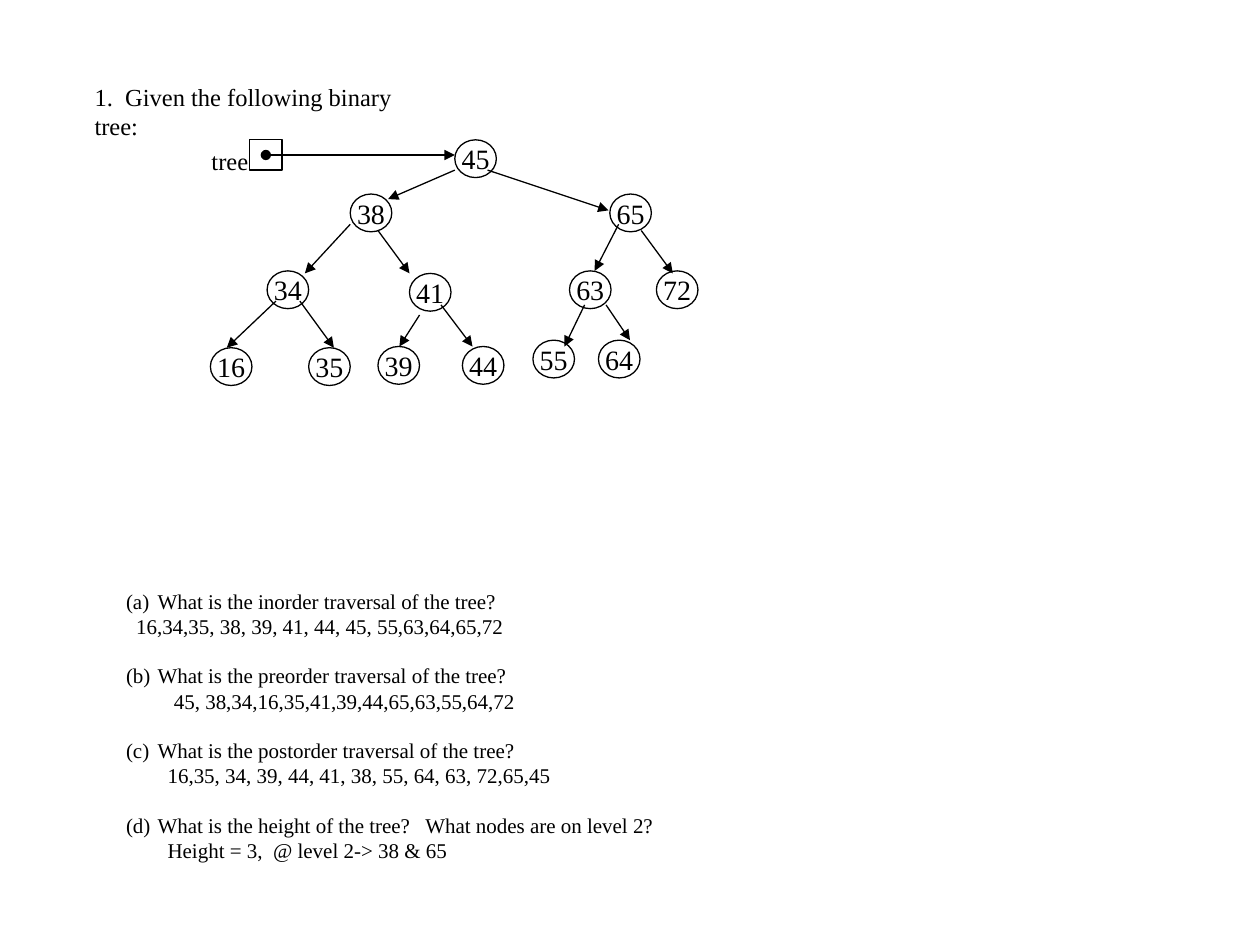
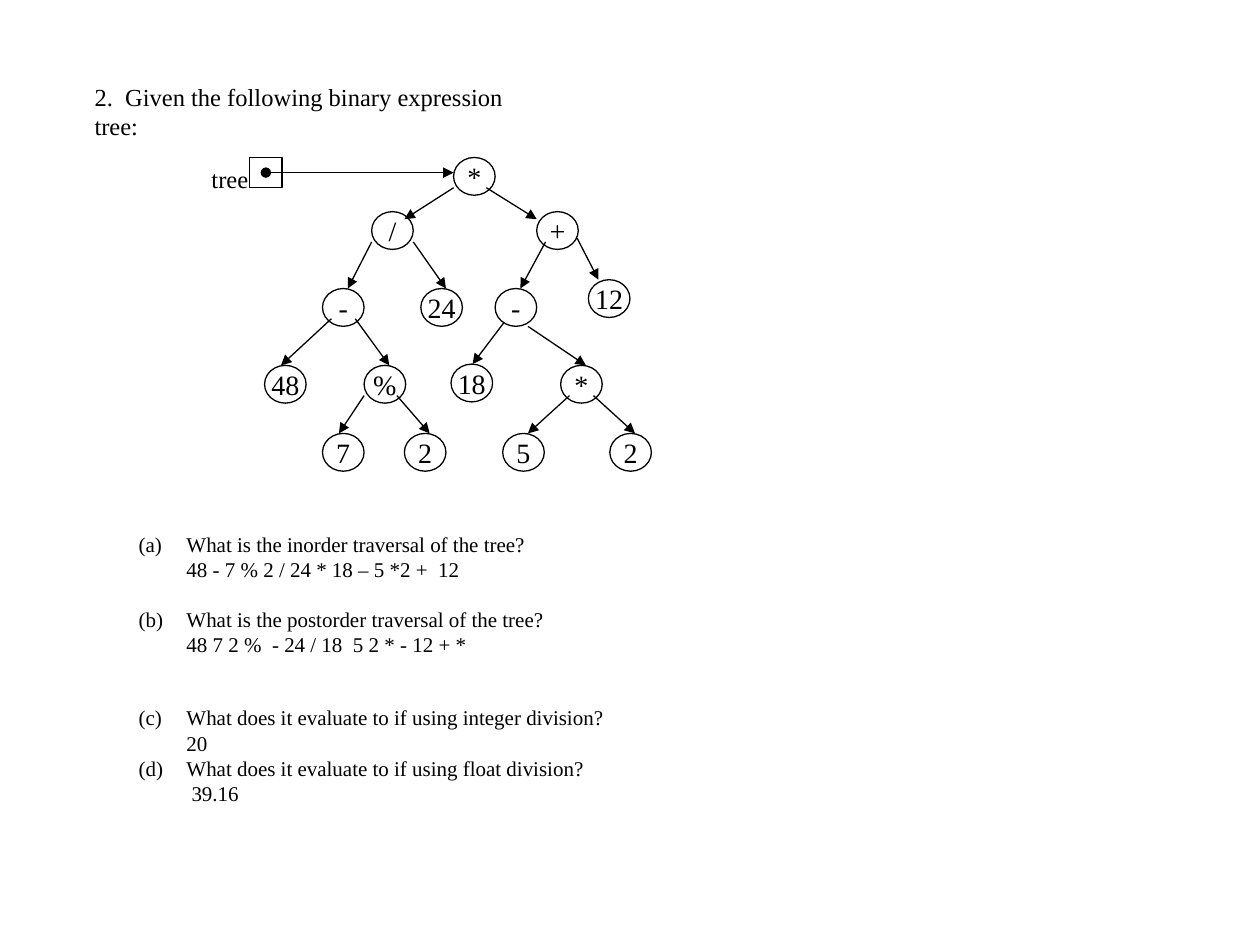
from dataclasses import dataclass

from lxml import etree
from pptx import Presentation
from pptx.dml.color import RGBColor
from pptx.enum.shapes import MSO_CONNECTOR, MSO_SHAPE
from pptx.enum.text import MSO_ANCHOR, MSO_AUTO_SIZE, PP_ALIGN
from pptx.oxml.ns import qn
from pptx.util import Inches, Pt

STRAIGHT = MSO_CONNECTOR.STRAIGHT
OVAL, RECTANGLE = MSO_SHAPE.OVAL, MSO_SHAPE.RECTANGLE
TOP, MIDDLE = MSO_ANCHOR.TOP, MSO_ANCHOR.MIDDLE
LEFT, CENTER = PP_ALIGN.LEFT, PP_ALIGN.CENTER
FIXED_SIZE = MSO_AUTO_SIZE.NONE


@dataclass(frozen=True)
class Theme:
    """Colours, type sizes and measures shared by the slides."""
    ink: RGBColor = RGBColor(0, 0, 0)
    font: str = "Times New Roman"
    title_size: float = 14
    node_size: float = 16
    body_size: float = 12
    body_line: float = 13.8
    line_width: float = 0.75
    node_width: float = 0.33
    node_height: float = 0.3


@dataclass(frozen=True)
class Node:
    """A tree node; start is measured from its parent, tip from itself."""
    label: str
    x: float
    y: float
    start: tuple = ()
    tip: tuple = ()
    children: tuple = ()


@dataclass(frozen=True)
class Question:
    """A numbered question, its answer's indent, and blank lines above."""
    text: str
    answer: str
    answer_indent: float
    lines_above: int = 1


THEME = Theme()

# Usual places where arrows leave a parent and touch a child.
FROM_SIDE, FROM_LEFT, FROM_RIGHT = (0, 0.24), (0.07, 0.24), (0.26, 0.24)
TO_LEFT, TO_RIGHT = (0.13, 0), (0.2, 0)

SEARCH_TREE = Node("45", 2.03, 0, children=(
    Node("38", 1.2, 0.43, FROM_SIDE, (0.3, 0.04), (
        Node("34", 0.54, 1.04, FROM_SIDE, (0.3, 0.02), (
            Node("16", 0.09, 1.65, FROM_LEFT, TO_LEFT),
            Node("35", 0.87, 1.65, FROM_RIGHT, TO_RIGHT))),
        Node("41", 1.67, 1.06, (0.22, 0.29), (0, 0), (
            Node("39", 1.42, 1.64, (0.08, 0.33), (0.17, 0)),
            Node("44", 2.09, 1.64, (0.25, 0.25), (0.08, 0)))))),
    Node("65", 3.26, 0.43, FROM_RIGHT, (-0.01, 0.13), (
        Node("63", 2.94, 1.04, FROM_LEFT, TO_RIGHT, (
            Node("55", 2.65, 1.59, (0.12, 0.27), (0.25, 0.05)),
            Node("64", 3.17, 1.59, (0.29, 0.27), (0.25, 0)))),
        Node("72", 3.63, 1.04, (0.25, 0.29), (0.13, 0.02))))))

EXPRESSION_TREE = Node("*", 2.02, 0, children=(
    Node("/", 1.37, 0.43, FROM_SIDE, (0.26, 0.06), (
        Node("-", 0.98, 1.04, FROM_SIDE, TO_RIGHT, (
            Node("48", 0.52, 1.65, FROM_LEFT, TO_LEFT),
            Node("%", 1.31, 1.65, FROM_RIGHT, TO_RIGHT, (
                Node("7", 0.98, 2.19, FROM_SIDE, TO_LEFT),
                Node("2", 1.63, 2.19, FROM_RIGHT, TO_RIGHT))))),
        Node("24", 1.76, 1.04, (0.33, 0.24), TO_RIGHT))),
    Node("+", 2.68, 0.43, FROM_RIGHT, (0, 0.06), (
        Node("-", 2.35, 1.04, FROM_LEFT, TO_RIGHT, (
            Node("18", 2, 1.64, (0.07, 0.27), (0.17, 0)),
            Node("*", 2.87, 1.65, (0.26, 0.3), TO_RIGHT, (
                Node("5", 2.41, 2.19, FROM_LEFT, TO_RIGHT),
                Node("2", 3.26, 2.19, FROM_RIGHT, TO_RIGHT))))),
        Node("12", 3.09, 0.97, (0.32, 0.21), (0.08, 0))))))

SEARCH_QUESTIONS = (
    Question("What is the inorder traversal of the tree?",
             "16,34,35, 38, 39, 41, 44, 45, 55,63,64,65,72", 0.08, 0),
    Question("What is the preorder traversal of the tree?",
             "45, 38,34,16,35,41,39,44,65,63,55,64,72", 0.38),
    Question("What is the postorder traversal of the tree?",
             "16,35, 34, 39, 44, 41, 38, 55, 64, 63, 72,65,45", 0.33),
    Question("What is the height of the tree?   What nodes are on level 2?",
             "Height = 3,  @ level 2-> 38 & 65", 0.33))

EXPRESSION_QUESTIONS = (
    Question("What is the inorder traversal of the tree?",
             "48 - 7 % 2 / 24 * 18 \u2013 5 *2 +  12", 0.38, 0),
    Question("What is the postorder traversal of the tree?",
             "48 7 2 %  - 24 / 18  5 2 * - 12 + *", 0.38),
    Question("What does it evaluate to if using integer division?",
             "20", 0.38, 2),
    Question("What does it evaluate to if using float division?",
             "39.16", 0.42, 0))


def add_run(paragraph, text, size):
    """Add one run in the theme's font and colour."""
    run = paragraph.add_run()
    run.text = text
    run.font.name = THEME.font
    run.font.size = Pt(size)
    run.font.color.rgb = THEME.ink


def place(shape, box):
    """Move and size a shape to a box of left, top, width, height."""
    shape.left, shape.top, shape.width, shape.height = map(Inches, box)


def style_line(shape):
    """Give a shape or connector the theme's line."""
    shape.line.color.rgb = THEME.ink
    shape.line.width = Pt(THEME.line_width)


def add_outline(shapes, kind, box):
    """Add an unfilled preset shape without a shadow."""
    shape = shapes.add_shape(kind, *map(Inches, box))
    shape.shadow.inherit = False
    shape.fill.background()
    style_line(shape)
    return shape


def add_arrow(shapes, start, end, head=None):
    """Add a straight arrow, with an optional mark at its start."""
    arrow = shapes.add_connector(STRAIGHT, *map(Inches, (*start, *end)))
    style_line(arrow)
    line = arrow.line._get_or_add_ln()
    if head:
        etree.SubElement(line, qn("a:headEnd"), type=head)
    etree.SubElement(line, qn("a:tailEnd"), type="triangle")
    etree.SubElement(arrow._element.spPr, qn("a:effectLst"))


def add_node(shapes, node, left, top):
    """Draw a node, the arrows to its children, and the children."""
    x, y = left + node.x, top + node.y
    circle = add_outline(shapes, OVAL,
                         (x, y, THEME.node_width, THEME.node_height))
    frame = circle.text_frame
    frame.word_wrap = False
    frame.vertical_anchor = MIDDLE
    frame.paragraphs[0].alignment = CENTER
    add_run(frame.paragraphs[0], node.label, THEME.node_size)
    for child in node.children:
        start = (x + child.start[0], y + child.start[1])
        end = (left + child.x + child.tip[0], top + child.y + child.tip[1])
        add_arrow(shapes, start, end)
        add_node(shapes, child, left, top)


def add_tree(slide, root, left, top):
    """Draw the tree and the pointer to its root as one group."""
    shapes = slide.shapes.add_group_shape().shapes
    add_node(shapes, root, left, top)
    add_outline(shapes, RECTANGLE, (left + 0.4, top, 0.26, 0.24))
    label = shapes.add_textbox(*map(Inches, (left, top, 0.49, 0.33)))
    label.text_frame.word_wrap = False
    add_run(label.text_frame.paragraphs[0], "tree", THEME.title_size)
    pointer_y = top + 0.12
    add_arrow(shapes, (left + 0.53, pointer_y), (left + root.x, pointer_y),
              head="oval")


def add_title(slide, text, box):
    """Fill the title placeholder with the exercise's opening line."""
    title = slide.shapes.title
    place(title, box)
    frame = title.text_frame
    frame.word_wrap = True
    frame.auto_size = FIXED_SIZE
    frame.vertical_anchor = TOP
    frame.paragraphs[0].alignment = LEFT
    add_run(frame.paragraphs[0], text, THEME.title_size)


def format_paragraph(paragraph, margin, number=None, lines_above=0):
    """Set indent, space above and, when given, the letter number."""
    paragraph.space_before = Pt(lines_above * THEME.body_line)
    properties = paragraph._p.get_or_add_pPr()
    properties.set("marL", str(Inches(margin)))
    properties.set("indent", str(-Inches(margin) if number else 0))
    if number:
        etree.SubElement(properties, qn("a:buFont"), typeface=THEME.font)
        etree.SubElement(properties, qn("a:buAutoNum"),
                         type="alphaLcParenBoth", startAt=str(number))
    else:
        etree.SubElement(properties, qn("a:buNone"))


def add_questions(slide, questions, box, hanging):
    """Fill the body placeholder with lettered questions and answers."""
    body = slide.placeholders[1]
    place(body, box)
    frame = body.text_frame
    frame.word_wrap = True
    frame.auto_size = FIXED_SIZE
    for number, question in enumerate(questions, 1):
        asked = frame.paragraphs[0] if number == 1 else frame.add_paragraph()
        format_paragraph(asked, hanging, number, question.lines_above)
        add_run(asked, question.text, THEME.body_size)
        answered = frame.add_paragraph()
        format_paragraph(answered, question.answer_indent)
        add_run(answered, question.answer, THEME.body_size)


def add_exercise(presentation, title, title_width, tree, tree_top,
                 questions, questions_box, hanging):
    """Add one slide with a title, a tree and its questions."""
    slide = presentation.slides.add_slide(presentation.slide_layouts[1])
    add_title(slide, title, (0.65, 0.6, title_width, 0.33))
    add_questions(slide, questions, questions_box, hanging)
    add_tree(slide, tree, 1.58, tree_top)


def main():
    """Build and save the two exercises."""
    presentation = Presentation()
    presentation.slide_width = Inches(10)
    presentation.slide_height = Inches(7.5)
    add_exercise(presentation, "1.  Given the following binary tree:", 2.9,
                 SEARCH_TREE, 1.11,
                 SEARCH_QUESTIONS, (0.9, 4.62, 5.29, 2.32), 0.25)
    add_exercise(presentation,
                 "2.  Given the following binary expression tree:", 3.75,
                 EXPRESSION_TREE, 1.25,
                 EXPRESSION_QUESTIONS, (1, 4.17, 3.94, 2.93), 0.38)
    presentation.save("out.pptx")


main()
